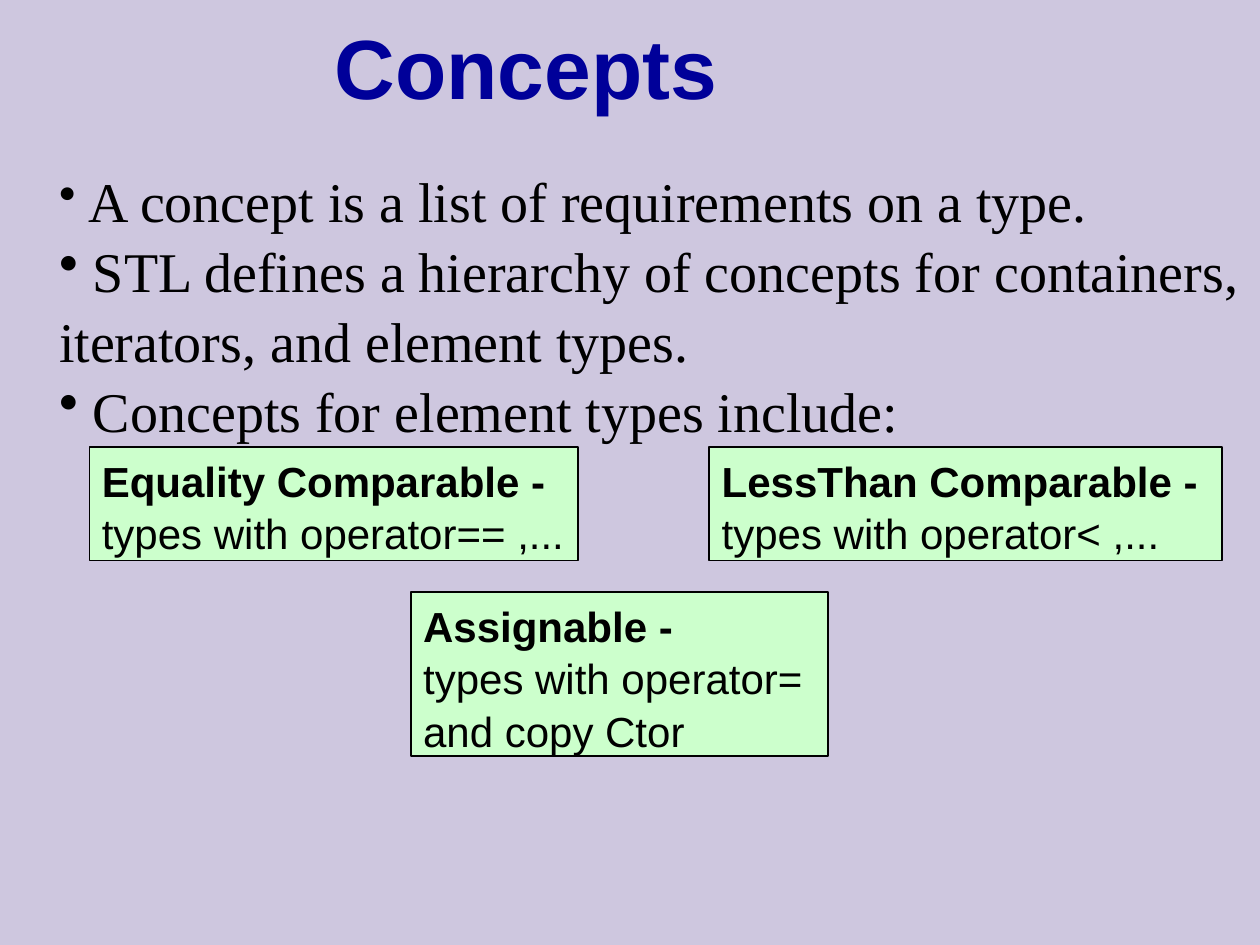
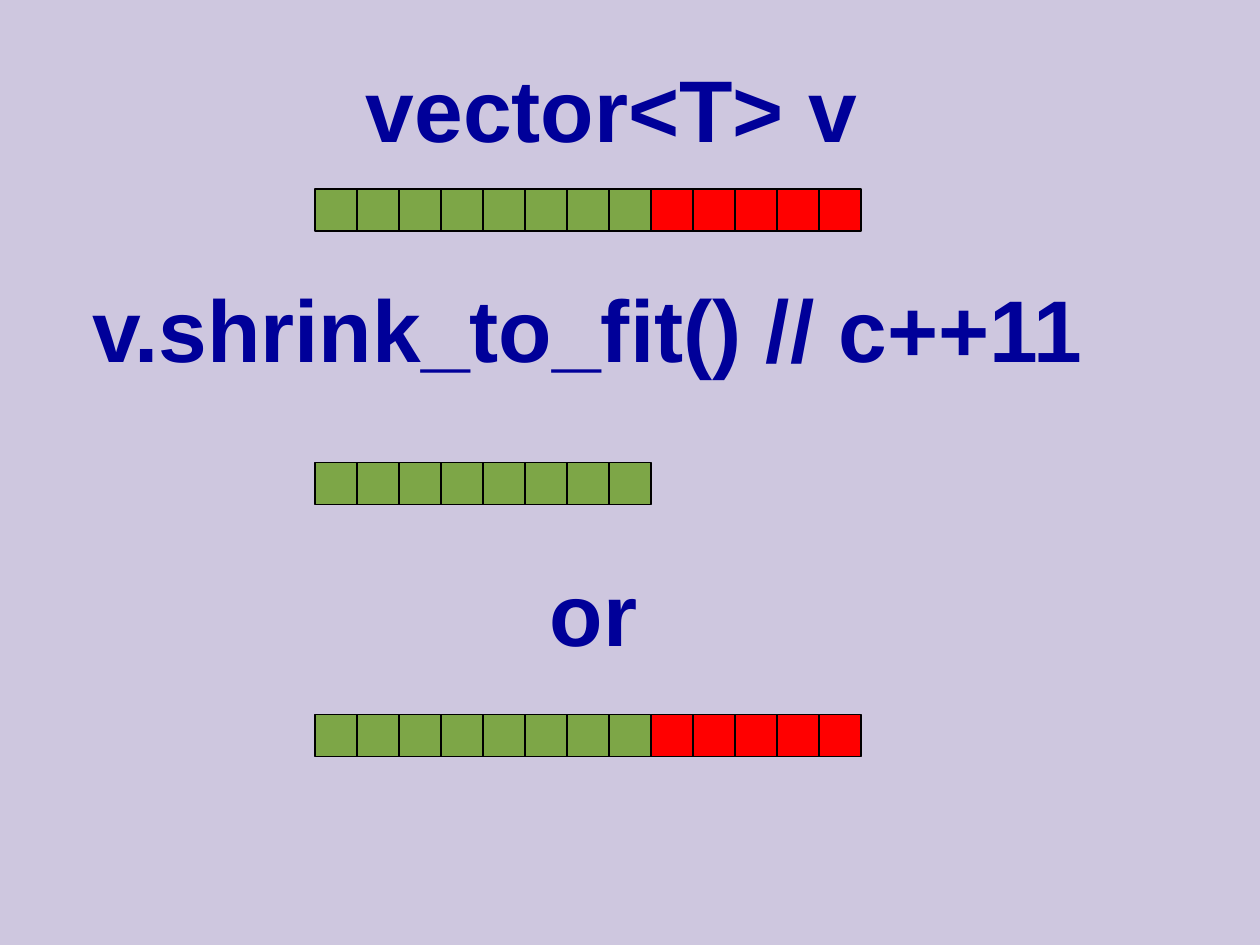
from lxml.etree import SubElement
from pptx import Presentation
from pptx.dml.color import RGBColor
from pptx.enum.shapes import MSO_SHAPE
from pptx.enum.text import MSO_ANCHOR, PP_ALIGN
from pptx.oxml.ns import qn
from pptx.util import Inches, Pt

LAVENDER = RGBColor(0xCE, 0xC7, 0xDF)
NAVY = RGBColor(0x00, 0x00, 0x99)
BLACK = RGBColor(0x00, 0x00, 0x00)
MINT = RGBColor(0xCC, 0xFF, 0xCC)
USED_GREEN = RGBColor(0x7D, 0xA6, 0x47)
SPARE_RED = RGBColor(0xFF, 0x00, 0x00)

SANS = "Arial"
SERIF = "Times New Roman"
LINE_SPACING = 1.04
CELL_SIZE = 1 / 3
VECTOR_LEFT = 2.5
USED_CELLS = 8
SPARE_CELLS = 5


def add_slide(deck):
    """Add a blank slide with the shared background."""
    slide = deck.slides.add_slide(deck.slide_layouts[6])
    slide.background.fill.solid()
    slide.background.fill.fore_color.rgb = LAVENDER
    return slide


def add_run(paragraph, text, size, font=SANS, color=BLACK, bold=False):
    """Append one styled run to a paragraph."""
    run = paragraph.add_run()
    run.text = text
    run.font.size = Pt(size)
    run.font.name = font
    run.font.bold = bold
    run.font.color.rgb = color


def add_lines(frame, count):
    """Return the given number of left-aligned paragraphs of a frame."""
    frame.word_wrap = False
    frame.vertical_anchor = MSO_ANCHOR.TOP
    lines = [frame.paragraphs[0]]
    lines += [frame.add_paragraph() for _ in range(count - 1)]
    for line in lines:
        line.alignment = PP_ALIGN.LEFT
        line.line_spacing = LINE_SPACING
    return lines


def add_heading(slide, text, left, top, width, height, size=50):
    """Add a centred bold navy heading."""
    box = slide.shapes.add_textbox(
        Inches(left), Inches(top), Inches(width), Inches(height))
    frame = box.text_frame
    frame.word_wrap = False
    frame.vertical_anchor = MSO_ANCHOR.MIDDLE
    frame.margin_left = frame.margin_right = 0
    frame.margin_top = frame.margin_bottom = 0
    heading = frame.paragraphs[0]
    heading.alignment = PP_ALIGN.CENTER
    heading.line_spacing = LINE_SPACING
    add_run(heading, text, size, color=NAVY, bold=True)


def add_bullet(paragraph):
    """Give a paragraph a black bullet without a hanging indent."""
    properties = paragraph._p.get_or_add_pPr()
    properties.set("marL", "0")
    properties.set("indent", "0")
    bullet_color = SubElement(properties, qn("a:buClr"))
    SubElement(bullet_color, qn("a:srgbClr")).set("val", str(BLACK))
    SubElement(properties, qn("a:buChar")).set("char", "•")


def add_statements(slide):
    """Add the statements that explain concepts."""
    box = slide.shapes.add_textbox(
        Inches(0.37), Inches(1.25), Inches(9.68), Inches(5.5))
    statements = [
        (28, "A concept is a list of requirements on a type."),
        (32, "STL defines a hierarchy of concepts for containers,"),
        (None, "iterators, and element types."),
        (32, "Concepts for element types include:"),
    ]
    lines = add_lines(box.text_frame, len(statements))
    for line, (gap_size, text) in zip(lines, statements):
        if gap_size:
            add_bullet(line)
            add_run(line, " ", gap_size, SERIF)
        add_run(line, text, 32, SERIF)


def add_rectangle(slide, left, top, width, height, fill, line_width):
    """Add a filled rectangle with a black outline."""
    rectangle = slide.shapes.add_shape(
        MSO_SHAPE.RECTANGLE,
        Inches(left), Inches(top), Inches(width), Inches(height))
    rectangle.shadow.inherit = False
    rectangle.fill.solid()
    rectangle.fill.fore_color.rgb = fill
    rectangle.line.color.rgb = BLACK
    rectangle.line.width = Pt(line_width)
    return rectangle


def add_concept(slide, left, top, width, height, name, *details):
    """Add a concept box with a bold name above its details."""
    concept = add_rectangle(slide, left, top, width, height, MINT, 1)
    name_line, *detail_lines = add_lines(concept.text_frame, 1 + len(details))
    add_run(name_line, name, 24, bold=True)
    for line, detail in zip(detail_lines, details):
        add_run(line, detail, 24)


def add_vector(slide, top, spare_cells=0):
    """Add a row of used cells followed by spare ones."""
    colors = [USED_GREEN] * USED_CELLS + [SPARE_RED] * spare_cells
    for index, color in enumerate(colors):
        add_rectangle(slide, VECTOR_LEFT + index * CELL_SIZE, top,
                      CELL_SIZE, CELL_SIZE, color, 0.75)


def build_concepts(deck):
    """Build the slide on concepts."""
    slide = add_slide(deck)
    add_heading(slide, "Concepts", 2.24, -0.17, 3.87, 1.35, size=48)
    add_statements(slide)
    add_concept(slide, 5.63, 3.55, 4.07, 0.9,
                "LessThan Comparable -", "types with operator< ,...")
    add_concept(slide, 0.71, 3.55, 3.88, 0.9,
                "Equality Comparable -", "types with operator== ,...")
    add_concept(slide, 3.26, 4.7, 3.31, 1.3,
                "Assignable -", "types with operator=", "and copy Ctor")


def build_shrink_to_fit(deck):
    """Build the slide on shrinking a vector."""
    slide = add_slide(deck)
    add_heading(slide, "vector<T> v", 2.89, 0.21, 3.93, 1.25)
    add_vector(slide, 1.5, SPARE_CELLS)
    add_heading(slide, "v.shrink_to_fit() // c++11", 0.73, 2.17, 7.87, 0.83)
    add_vector(slide, 3.67)
    add_heading(slide, "or", 4.36, 4.42, 0.7, 0.83)
    add_vector(slide, 5.67, SPARE_CELLS)


def main():
    """Build and save the deck."""
    deck = Presentation()
    deck.slide_width = Inches(10)
    deck.slide_height = Inches(7.5)
    build_concepts(deck)
    build_shrink_to_fit(deck)
    deck.save("out.pptx")


if __name__ == "__main__":
    main()
